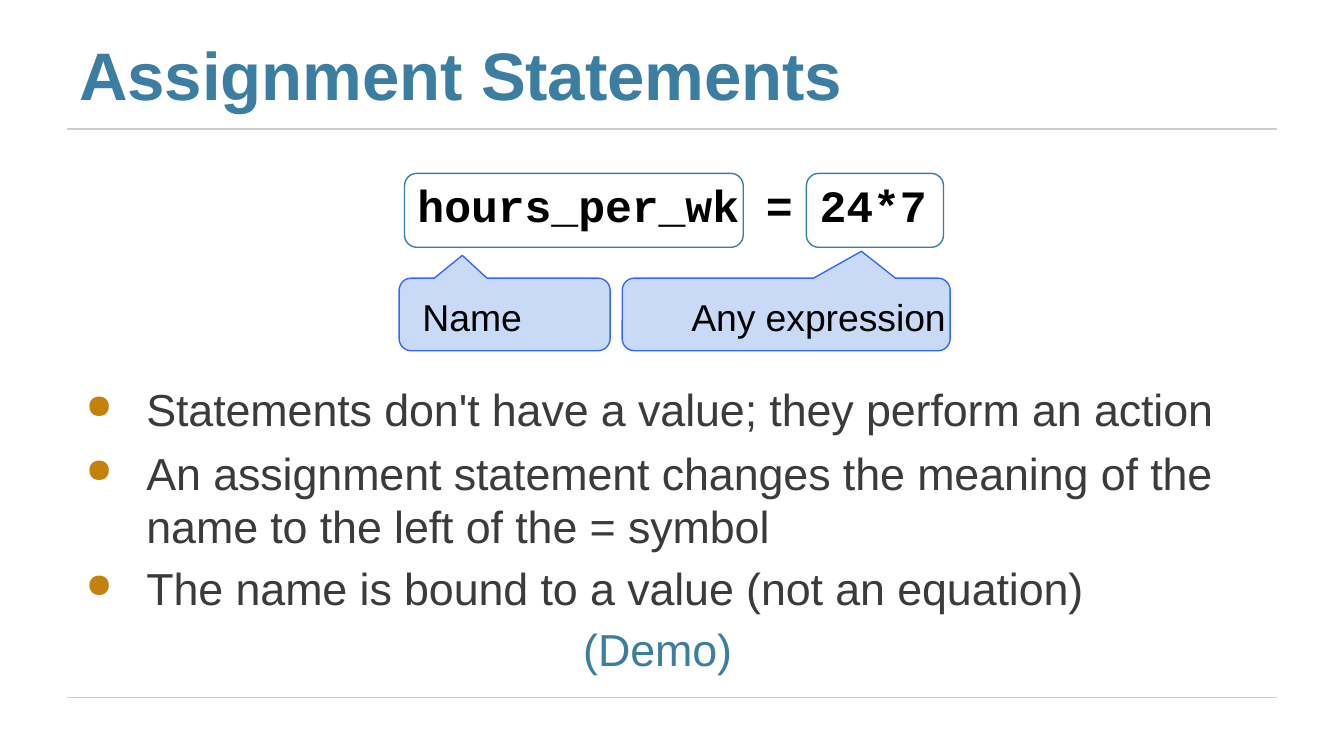
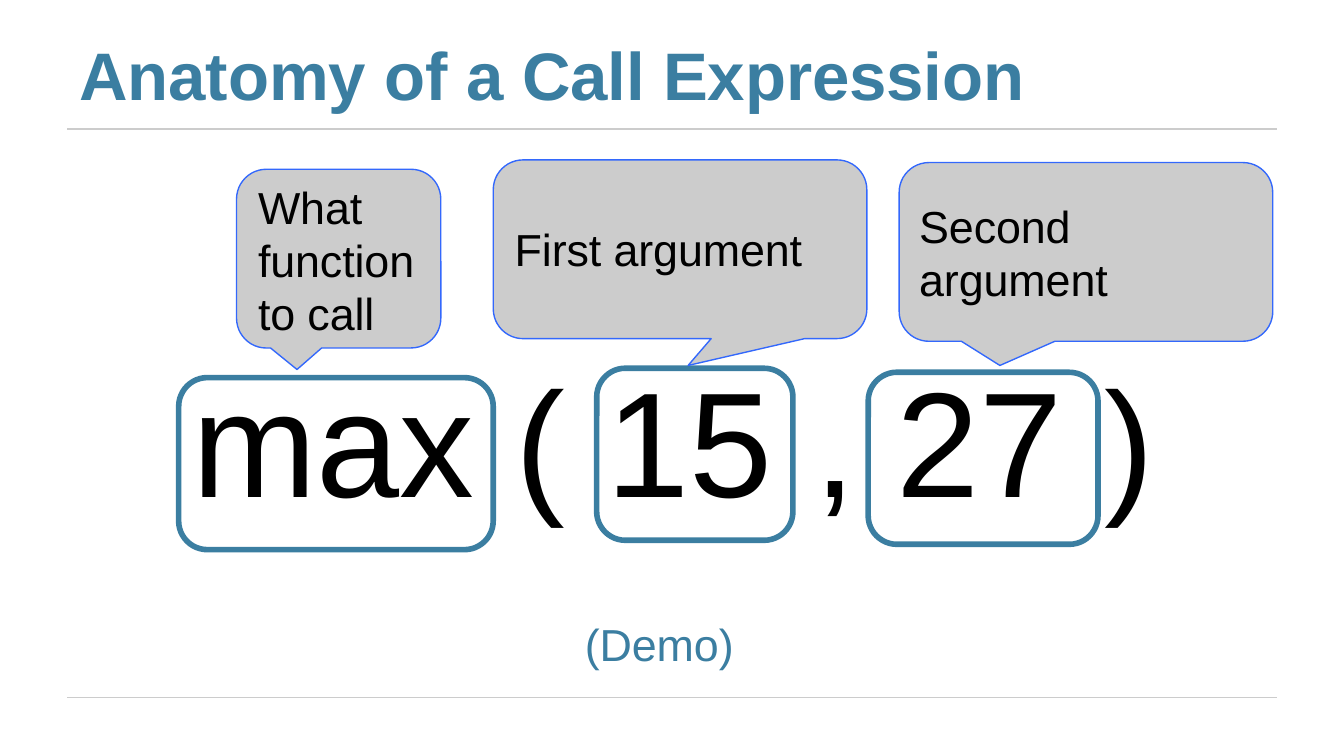
from lxml import etree
from pptx import Presentation
from pptx import util as u
from pptx.dml import color
from pptx.enum import shapes, text
from pptx.oxml import ns

BLUE, RULE, EDGE = "3B7EA1", "CCCCCC", "3368FC"
PALE_BLUE, GRAY, GOLD = "C9DAF7", "CCCCCC", "C4820D"
BLACK, BODY = "000000", "3B3B3B"
CENTER = text.PP_ALIGN.CENTER


def rgb(value):
    return color.RGBColor.from_string(value)


def inside(box, left, top, width, height):
    """Turn a place relative to box into a place on the slide."""
    return box[0] + left, box[1] + top, width, height


def lengths(box):
    return [u.Inches(value) for value in box]


# ---- Text ----
def add_text_frame(slide, box, top_inset=0.02):
    frame = slide.shapes.add_textbox(*lengths(box)).text_frame
    frame.word_wrap = True
    frame.margin_left = frame.margin_right = frame.margin_bottom = 0
    frame.margin_top = u.Inches(top_inset)
    return frame


def add_child(parent, tag, **attributes):
    child = etree.SubElement(parent, ns.qn(tag))
    for name, value in attributes.items():
        child.set(name, str(value))
    return child


def add_paragraph(frame, content, size, ink, font="Arial", bold=False, align=None,
                  indent=0, right=0, before=0, line=None, bullet=False, tab=None):
    first = frame.paragraphs[0]
    paragraph = frame.add_paragraph() if first.runs else first
    properties = paragraph._p.get_or_add_pPr()
    properties.set("marL", str(u.Inches(indent)))
    properties.set("marR", str(u.Inches(right)))
    if bullet:
        properties.set("indent", str(u.Inches(-0.45)))
        add_child(add_child(properties, "a:buClr"), "a:srgbClr", val=GOLD)
        add_child(properties, "a:buSzPct", val=75000)
        add_child(properties, "a:buChar", char="●")
    if tab:
        add_child(add_child(properties, "a:tabLst"), "a:tab",
                  pos=u.Inches(tab), algn="l")
    paragraph.alignment = align
    if before:
        paragraph.space_before = u.Pt(before)
    if line:
        paragraph.line_spacing = u.Pt(line)
    run = paragraph.add_run()
    run.text = content
    run.font.name, run.font.size, run.font.bold = font, u.Pt(size), bold
    run.font.color.rgb = rgb(ink)
    run._r.get_or_add_rPr().set("spc", "-5")


# ---- Shapes ----
def add_panel(slide, kind, box, edge, weight, fill=None):
    shape = slide.shapes.add_shape(kind, *lengths(box))
    shape.shadow.inherit = False
    if fill:
        shape.fill.solid()
        shape.fill.fore_color.rgb = rgb(fill)
    else:
        shape.fill.background()
    shape.line.color.rgb = rgb(edge)
    shape.line.width = u.Pt(weight)
    return shape


def add_outline(slide, box, weight):
    add_panel(slide, shapes.MSO_SHAPE.ROUNDED_RECTANGLE, box, BLUE, weight)


def add_callout(slide, box, tip, fill):
    """Add a speech bubble; tip is measured from its top left corner."""
    shape = add_panel(slide, shapes.MSO_SHAPE.ROUNDED_RECTANGULAR_CALLOUT,
                      box, EDGE, 0.75, fill)
    shape.adjustments[0] = tip[0] / box[2] - 0.5
    shape.adjustments[1] = tip[1] / box[3] - 0.5


# ---- Title and rules on every slide ----
def add_titled_slide(presentation, title, title_width):
    slide = presentation.slides.add_slide(presentation.slide_layouts[6])
    for y in (0.96, 5.19):
        rule = slide.shapes.add_connector(
            shapes.MSO_CONNECTOR.STRAIGHT, *lengths((0.5, y, 9.5, y)))
        rule.line.color.rgb = rgb(RULE)
        rule.line.width = u.Pt(0.75)
        add_child(rule._element.spPr, "a:effectLst")
    frame = add_text_frame(slide, (0.58, 0.23, title_width, 0.63))
    add_paragraph(frame, title, 36, BLUE, bold=True, indent=0.01)
    return slide


# ---- Assignment statement with its notes ----
def add_assignment(slide, box):
    for left, width in ((2.38, 2.52), (5.37, 1.02)):
        add_outline(slide, inside(box, left, 0, width, 0.55), 0.75)
    for left, width, tip in ((2.34, 1.57, (0.47, -0.17)),
                             (4, 2.44, (1.78, -0.2))):
        add_callout(slide, inside(box, left, 0.78, width, 0.54), tip, PALE_BLUE)

    frame = add_text_frame(slide, inside(box, 0, 0.01, 8.44, 3.7))
    add_paragraph(frame, "hours_per_wk = 24*7", 24, BLACK, font="Courier New",
                  bold=True, align=CENTER, indent=0.3)
    add_paragraph(frame, "Name\tAny expression", 20, BLACK, align=CENTER,
                  indent=0.48, before=33.5, tab=2)
    notes = (
        ("Statements don't have a value; they perform an action", 23, None),
        ("An assignment statement changes the meaning of the "
         "name to the left of the = symbol", 6, 28.4),
        ("The name is bound to a value (not an equation)", 4.2, None),
    )
    for note, before, line in notes:
        add_paragraph(frame, note, 24, BODY, indent=0.46, before=before,
                      line=line, bullet=True)
    add_paragraph(frame, "(Demo)", 24, BLUE, indent=3.71, before=4)


# ---- Call expression with its callouts ----
def add_call_expression(slide, box):
    for left, top, width in ((0, 1.62, 2.34), (3.11, 1.55, 1.46),
                             (5.13, 1.58, 1.71)):
        add_outline(slide, inside(box, left, top, width, 1.28), 3)

    callouts = (
        # callout left, top, width; tip; label left, top, width, height; line
        ("What function to call", (0.43, 0.07, 1.52), (0.45, 1.49),
         (0.58, 0.11, 1.19, 1.22), 28.5),
        ("First argument", (2.34, 0, 2.78), (1.45, 1.53),
         (2.49, 0.44, 2.17, 0.43), None),
        ("Second argument", (5.36, 0.02, 2.78), (0.75, 1.51),
         (5.5, 0.25, 1.44, 0.82), 28.5),
    )
    for label, place, tip, label_box, line in callouts:
        add_callout(slide, inside(box, *place, 1.33), tip, GRAY)
        frame = add_text_frame(slide, inside(box, *label_box),
                               0.04 if line else 0.02)
        add_paragraph(frame, label, 24, BLACK, indent=0.01, line=line)

    frame = add_text_frame(slide, inside(box, 0.09, 1.38, 7.18, 2.43))
    add_paragraph(frame, "max ( 15 , 27 )", 80, BLACK, indent=0.01)
    add_paragraph(frame, "(Demo)", 24, BLUE, align=CENTER, right=0.21,
                  before=47.8)


def main():
    presentation = Presentation()
    presentation.slide_width = u.Inches(10)
    presentation.slide_height = u.Inches(10) * 9 // 16
    slide = add_titled_slide(presentation, "Assignment Statements", 5.72)
    add_assignment(slide, (0.63, 1.29, 8.44, 3.71))
    slide = add_titled_slide(presentation, "Anatomy of a Call Expression", 7.08)
    add_call_expression(slide, (1.33, 1.19, 8.14, 3.81))
    presentation.save("out.pptx")


if __name__ == "__main__":
    main()
